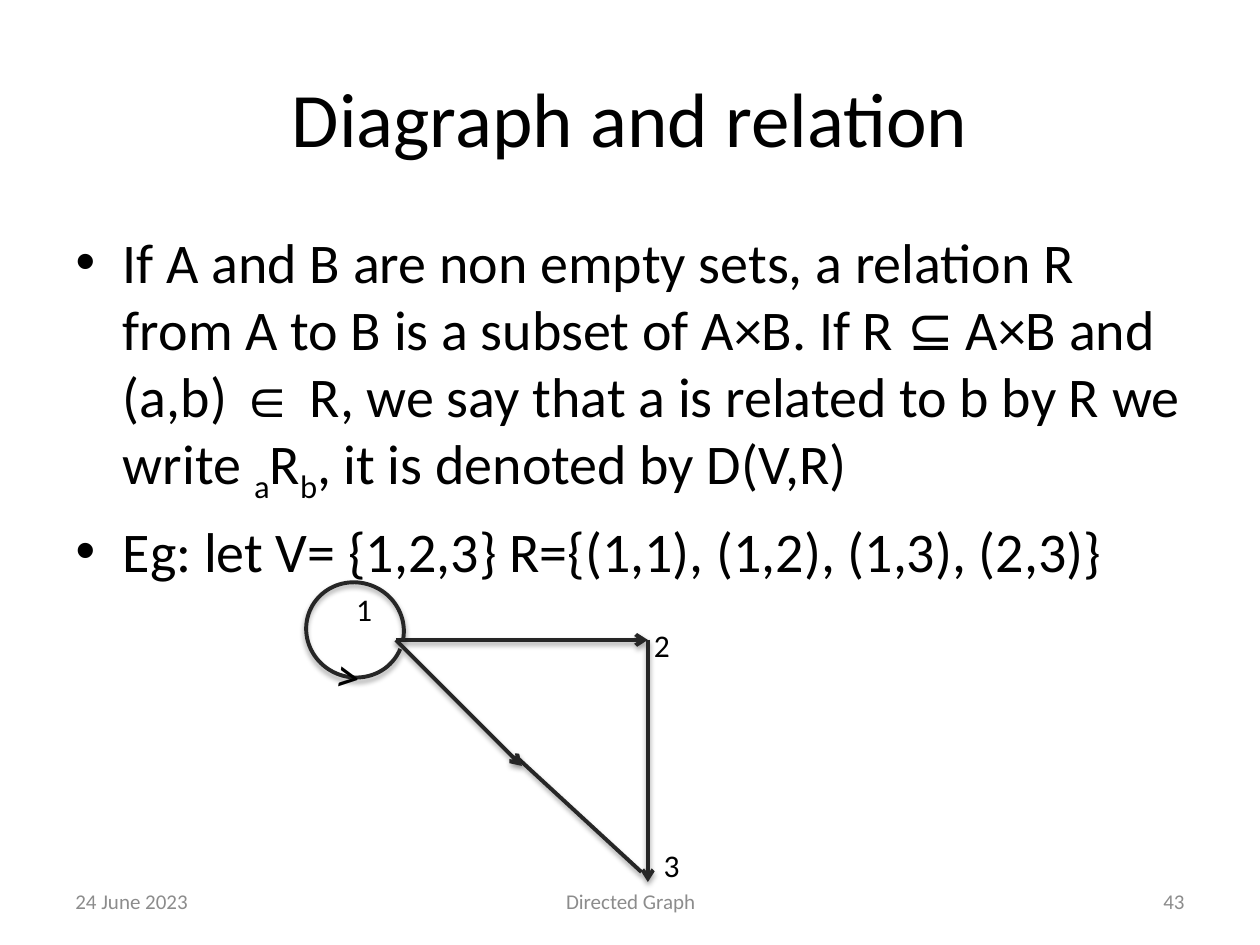
"""Build a slide on digraphs and relations, with a three-node example."""
import pptx
import pptx.dml.color
import pptx.enum.shapes
import pptx.enum.text
import pptx.oxml
import pptx.oxml.ns
import pptx.util
from dataclasses import dataclass

Cm = pptx.util.Cm
Pt = pptx.util.Pt
Align = pptx.enum.text.PP_ALIGN
Mid = pptx.enum.text.MSO_ANCHOR.MIDDLE
Kind = pptx.enum.shapes.MSO_SHAPE
Link = pptx.enum.shapes.MSO_CONNECTOR


@dataclass
class Theme:
    font: str = "Calibri"
    math: str = "Times New Roman"
    ink: str = "000000"
    edge: str = "262626"
    grey: str = "8C8C8C"
    title: int = 44
    body: int = 32
    mark: int = 28
    label: int = 18
    foot: int = 12
    line: float = 2.25


look = Theme()

title = "Diagraph and relation"
body = [
    [
        ("If A and B are non empty sets, a relation R from A to B is a subset of "
         "A×B. If R ⊆ A×B and (a,b) ", {}),
        ("∈ ", {"font": look.math}),
        ("R, we say that a is related to b by R we write ", {}),
        ("a", {"sub": True}),
        ("R", {}),
        ("b", {"sub": True}),
        (", it is denoted by D(V,R)", {}),
    ],
    [("Eg: let V= {1,2,3} R={(1,1), (1,2), (1,3), (2,3)}", {})],
]
feet = [
    ("24 June 2023", 1.27, 5.92, Align.LEFT),
    ("Directed Graph", 8.69, 8.05, Align.CENTER),
    ("43", 18.21, 5.92, Align.RIGHT),
]
labels = [("1", 6.93, 11.76), ("2", 12.93, 12.5), ("3", 13.13, 16.94)]
one, two, three = (7.98, 12.9), (13.06, 12.9), (13.06, 17.78)
half = (10.52, 15.44)
edges = [
    ((10.39, 15.24), (12.93, 17.58), False),
    (one, two, True),
    (two, three, True),
    (one, half, True),
]
loop = (6.2, 11.71, 1.91, 1.98)
mark = (6.53, 12.88, 1.02, 1.45)


def write(frame, paras, size, color=look.ink, align=Align.LEFT, anchor=None, wrap=True):
    frame.word_wrap = wrap
    frame.auto_size = pptx.enum.text.MSO_AUTO_SIZE.NONE
    if anchor is not None:
        frame.vertical_anchor = anchor
    if isinstance(paras, str):
        paras = [[(paras, {})]]
    for i, runs in enumerate(paras):
        para = frame.paragraphs[0] if i == 0 else frame.add_paragraph()
        para.alignment = align
        if i == 0:
            para.space_before = Pt(0)
        for text, form in runs:
            run = para.add_run()
            run.text = text
            run.font.name = form.get("font", look.font)
            run.font.size = Pt(size)
            run.font.color.rgb = pptx.dml.color.RGBColor.from_string(color)
            if form.get("sub"):
                run._r.get_or_add_rPr().set("baseline", "-25000")


def place(shape, box):
    shape.left, shape.top, shape.width, shape.height = map(Cm, box)
    return shape


def add_text(slide, box, text, **form):
    shape = slide.shapes.add_textbox(*map(Cm, box))
    write(shape.text_frame, text, **form)
    return shape


def stroke(shape, arrow=False):
    shape.line.color.rgb = pptx.dml.color.RGBColor.from_string(look.edge)
    shape.line.width = Pt(look.line)
    props = shape.element.spPr
    space = pptx.oxml.ns.nsdecls("a")
    if arrow:
        tail = pptx.oxml.parse_xml(f'<a:tailEnd {space} type="arrow"/>')
        props.find(pptx.oxml.ns.qn("a:ln")).append(tail)
    props.append(pptx.oxml.parse_xml(
        f'<a:effectLst {space}><a:outerShdw blurRad="{Pt(3.1)}" dist="{Pt(1.8)}" '
        f'dir="5400000" rotWithShape="0"><a:srgbClr val="{look.ink}">'
        '<a:alpha val="35000"/></a:srgbClr></a:outerShdw></a:effectLst>'))


def draw_graph(slide):
    for text, left, top in labels:
        add_text(slide, (left, top, 0.84, 1.02), text, size=look.label, wrap=False)
    for start, end, arrow in edges:
        line = slide.shapes.add_connector(Link.STRAIGHT, *map(Cm, start + end))
        stroke(line, arrow)
    arc = slide.shapes.add_shape(Kind.ARC, *map(Cm, loop))
    arc.adjustments[0], arc.adjustments[1] = 162, 155.69
    arc.rotation = 112.8
    arc.fill.background()
    stroke(arc)
    add_text(slide, mark, "˃", size=look.mark, wrap=False).rotation = 9.2


def main():
    deck = pptx.Presentation()
    deck.slide_width, deck.slide_height = Cm(25.4), Cm(19.05)
    slide = deck.slides.add_slide(deck.slide_layouts[1])
    head = place(slide.shapes.title, (1.27, 0.76, 22.86, 3.18))
    write(head.text_frame, title, size=look.title, align=Align.CENTER, anchor=Mid)
    main_box = place(slide.placeholders[1], (1.27, 4.45, 22.86, 12.57))
    write(main_box.text_frame, body, size=look.body)
    draw_graph(slide)
    for text, left, width, align in feet:
        add_text(slide, (left, 17.65, width, 1.02), text, size=look.foot,
                 color=look.grey, align=align, anchor=Mid)
    deck.save("out.pptx")


if __name__ == "__main__":
    main()
